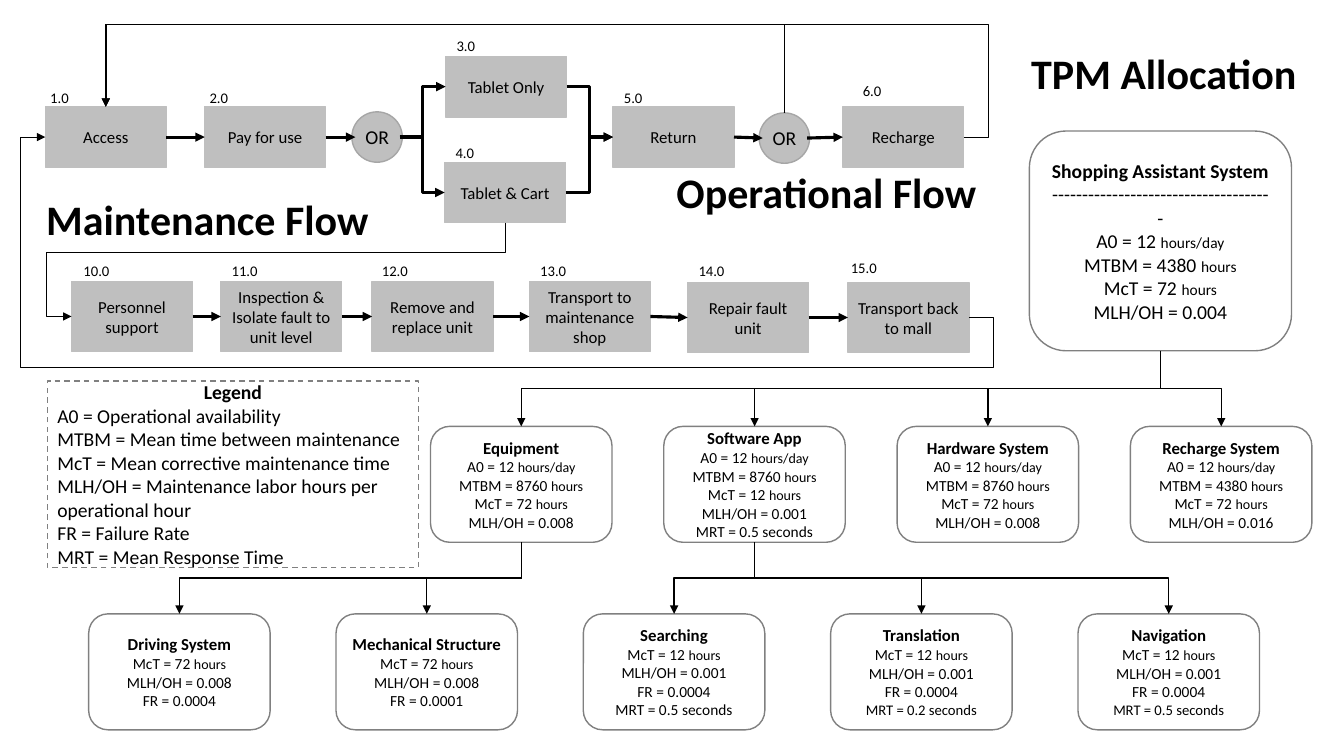
from itertools import pairwise
from lxml.etree import SubElement
from pptx import Presentation
from pptx.dml.color import RGBColor
from pptx.enum.dml import MSO_LINE
from pptx.enum.shapes import MSO_CONNECTOR, MSO_SHAPE
from pptx.enum.text import MSO_ANCHOR, MSO_AUTO_SIZE, PP_ALIGN
from pptx.oxml.ns import qn
from pptx.util import Inches, Pt

theme = {
    "font": "Calibri",
    "ink": RGBColor(0x00, 0x00, 0x00),
    "paper": RGBColor(0xFF, 0xFF, 0xFF),
    "step": RGBColor(0xBF, 0xBF, 0xBF),
    "ring": RGBColor(0xA6, 0xA6, 0xA6),
    "edge": RGBColor(0x80, 0x80, 0x80),
    "heading": 30, "large": 14, "name": 12, "value": 11, "number": 10.5, "unit": 10,
    "thick": 2.25, "medium": 1, "thin": 0.5,
}
CENTER, LEFT = PP_ALIGN.CENTER, PP_ALIGN.LEFT

deck = Presentation()
deck.slide_width, deck.slide_height = Inches(13.33), Inches(7.5)
page = deck.slides.add_slide(deck.slide_layouts[6])
column, row = deck.slide_width / 1333, deck.slide_height / 750


def draw(kind, at, paras, fill=None, edge=None, wrap=True):
    left, top, width, height = at
    area = [round(n) for n in (left * column, top * row, width * column, height * row)]
    if kind is None:
        box = page.shapes.add_textbox(*area)
        box.text_frame.auto_size = MSO_AUTO_SIZE.SHAPE_TO_FIT_TEXT
    else:
        box = page.shapes.add_shape(kind, *area)
        box.shadow.inherit = False
        box.line.color.rgb = edge
        box.line.width = Pt(theme["medium"])
        box.text_frame.vertical_anchor = MSO_ANCHOR.MIDDLE
        if fill is None:
            box.fill.background()
        else:
            box.fill.solid()
            box.fill.fore_color.rgb = fill
    frame = box.text_frame
    frame.word_wrap = wrap
    for index, (align, spans) in enumerate(paras):
        para = frame.add_paragraph() if index else frame.paragraphs[0]
        para.alignment = align
        for text, size, bold in spans:
            span = para.add_run()
            span.text = text
            span.font.name = theme["font"]
            span.font.size = Pt(size)
            span.font.bold = bold
            span.font.color.rgb = theme["ink"]
    return box


def link(start, start_side, end, end_side, weight, lanes=None):
    kind = MSO_CONNECTOR.STRAIGHT if lanes is None else MSO_CONNECTOR.ELBOW
    wire = page.shapes.add_connector(kind, 0, 0, 0, 0)
    wire.begin_connect(start, start_side)
    wire.end_connect(end, end_side)
    wire.line.color.rgb = theme["ink"]
    wire.line.width = Pt(theme[weight])
    SubElement(wire.line._get_or_add_ln(), qn("a:tailEnd"), type="triangle")
    properties = wire._element.spPr
    SubElement(properties, qn("a:effectLst"))
    if lanes is None:
        return
    first, last = (wire.begin_x, wire.begin_y), (wire.end_x, wire.end_y)
    upright = start_side in (0, 2)
    geometry = properties.find(qn("a:prstGeom"))
    if lanes:
        geometry.set("prst", f"bentConnector{len(lanes) + 2}")
        guides = geometry.get_or_add_avLst()
        for index, lane in enumerate(lanes):
            axis = (index + upright) % 2
            place = lane * (column, row)[axis]
            share = (place - first[axis]) / (last[axis] - first[axis])
            SubElement(guides, qn("a:gd"), name=f"adj{index + 1}", fmla=f"val {round(share * 100000)}")
    if upright:
        across, down = last[0] - first[0], last[1] - first[1]
        wire.left = (first[0] + last[0] - abs(down)) // 2
        wire.top = (first[1] + last[1] - abs(across)) // 2
        wire.width, wire.height = abs(down), abs(across)
        frame = properties.find(qn("a:xfrm"))
        quarter_turns = 1 if down > 0 and across < 0 else 3
        frame.set("rot", str(quarter_turns * 5400000))
        frame.set("flipH", str(int(across > 0)))
        frame.set("flipV", str(int(down < 0)))


steps = [
    ("1.0", "Access", 45, 106, 40, 83),
    ("2.0", "Pay for use", 203, 106, 198, 83),
    ("3.0", "Tablet Only", 442, 56, 443, 32),
    ("4.0", "Tablet & Cart", 441, 161, 442, 138),
    ("5.0", "Return", 608, 106, 609, 83),
    ("6.0", "Recharge", 836, 106, 846, 76),
    ("10.0", "Personnel support", 71, 279, 73, 255),
    ("11.0", "Inspection & Isolate fault to unit level", 219, 279, 220, 255),
    ("12.0", "Remove and replace unit", 369, 279, 369, 255),
    ("13.0", "Transport to maintenance shop", 525, 279, 526, 255),
    ("14.0", "Repair fault unit", 682, 280, 683, 255),
    ("15.0", "Transport back to mall", 841, 280, 834, 252),
]
flow = {}
for number, text, left, top, number_left, number_top in steps:
    height = 70 if float(number) >= 10 else 60
    flow[number] = draw(MSO_SHAPE.RECTANGLE, (left, top, 120, height),
                        [(CENTER, [(text, theme["name"], False)])], theme["step"], theme["step"])
    draw(None, (number_left, number_top, 40 if height == 60 else 46, 28),
         [(LEFT, [(number, theme["number"], False)])], wrap=False)

rings, choices = [], []
for left, top in [(349, 111), (753, 112)]:
    rings.append(draw(MSO_SHAPE.OVAL, (left, top, 50, 50), [], theme["step"], theme["ring"]))
    choices.append(draw(None, (left + 3.5, top + 8, 44, 34),
                        [(LEFT, [("OR", theme["large"], False)])]))

for text, left, top, width in [("Operational Flow", 661, 160, 321),
                               ("Maintenance Flow", 36, 187, 343),
                               ("TPM Allocation", 1013, 42, 286)]:
    draw(None, (left, top, width, 61), [(LEFT, [(text, theme["heading"], True)])], wrap=False)

large, value, unit = theme["large"], theme["value"], theme["unit"]
root = draw(MSO_SHAPE.ROUNDED_RECTANGLE, (1021, 130, 260, 218), [
    (CENTER, [("Shopping Assistant System", large, True)]),
    (CENTER, [("-" * 37, large, False)]),
    (CENTER, [("A0 = 12 ", large, False), ("hours/day", value, False)]),
    (CENTER, [("MTBM = 4380 ", large, False), ("hours", value, False)]),
    (CENTER, [("McT = 72 ", large, False), ("hours", value, False)]),
    (CENTER, [("MLH/OH = 0.004", large, False)]),
], theme["paper"], theme["edge"])

systems = [
    ("Equipment", "8760", "72", "0.008", None, None, value),
    ("Software App", "8760", "12", "0.001", None, "0.5", value),
    ("Hardware System", "8760", "72", "0.008", None, None, value),
    ("Recharge System", "4380", "72", "0.016", None, None, value),
]
parts = [
    ("Driving System", None, "72", "0.008", "0.0004", None, value),
    ("Mechanical Structure", None, "72", "0.008", "0.0001", None, value),
    ("Searching", None, "12", "0.001", "0.0004", "0.5", value),
    ("Translation", None, "12", "0.001", "0.0004", "0.2", theme["number"]),
    ("Navigation", None, "12", "0.001", "0.0004", "0.5", theme["number"]),
]
cards = {}
for tier, first_left, pitch, top in [(systems, 427, 231.4, 423), (parts, 88, 245.3, 609)]:
    for index, (name, between, repair, labor, failure, response, response_size) in enumerate(tier):
        lines = [[(name, theme["name"], True)]]
        if between:
            lines.append([("A0 = 12 ", value, False), ("hours/day", unit, False)])
            lines.append([(f"MTBM = {between} ", value, False), ("hours", unit, False)])
        lines.append([(f"McT = {repair} ", value, False), ("hours", unit, False)])
        lines.append([(f"MLH/OH = {labor}", value, False)])
        if failure:
            lines.append([(f"FR = {failure}", value, False)])
        if response:
            lines.append([(f"MRT = {response} seconds", response_size, False)])
        cards[name] = draw(MSO_SHAPE.ROUNDED_RECTANGLE, (first_left + index * pitch, top, 180, 115),
                           [(CENTER, line) for line in lines], theme["paper"], theme["edge"])

meanings = ["A0 = Operational availability", "MTBM = Mean time between maintenance",
            "McT = Mean corrective maintenance time",
            "MLH/OH = Maintenance labor hours per operational hour",
            "FR = Failure Rate", "MRT = Mean Response Time"]
legend = draw(MSO_SHAPE.RECTANGLE, (47, 378, 368, 185),
              [(CENTER, [("Legend", large, True)])]
              + [(LEFT, [(text, large, False)]) for text in meanings], edge=theme["edge"])
legend.line.dash_style = MSO_LINE.DASH

operation = [flow["1.0"], flow["2.0"], choices[0]]
recharging = [flow["5.0"], choices[1], flow["6.0"]]
maintenance = [flow[f"{number}.0"] for number in range(10, 16)]
for chain in (operation, recharging, maintenance):
    for before, after in pairwise(chain):
        link(before, 3, after, 1, "thick")
for option in ("3.0", "4.0"):
    link(choices[0], 3, flow[option], 1, "thick", ())
    link(flow[option], 3, flow["5.0"], 1, "thick", ())

link(rings[1], 0, flow["1.0"], 0, "thin", (24,))
link(flow["6.0"], 3, flow["1.0"], 0, "thin", (981, 24))
link(flow["4.0"], 2, flow["10.0"], 1, "thin", (250, 46))
link(flow["15.0"], 3, flow["1.0"], 1, "thin", (986, 365, 20))

branches = [(root, [system[0] for system in systems]),
            (cards["Equipment"], ["Driving System", "Mechanical Structure"]),
            (cards["Software App"], ["Searching", "Translation", "Navigation"])]
for parent, children in branches:
    for child in children:
        link(parent, 2, cards[child], 0, "medium", ())

deck.save("out.pptx")
